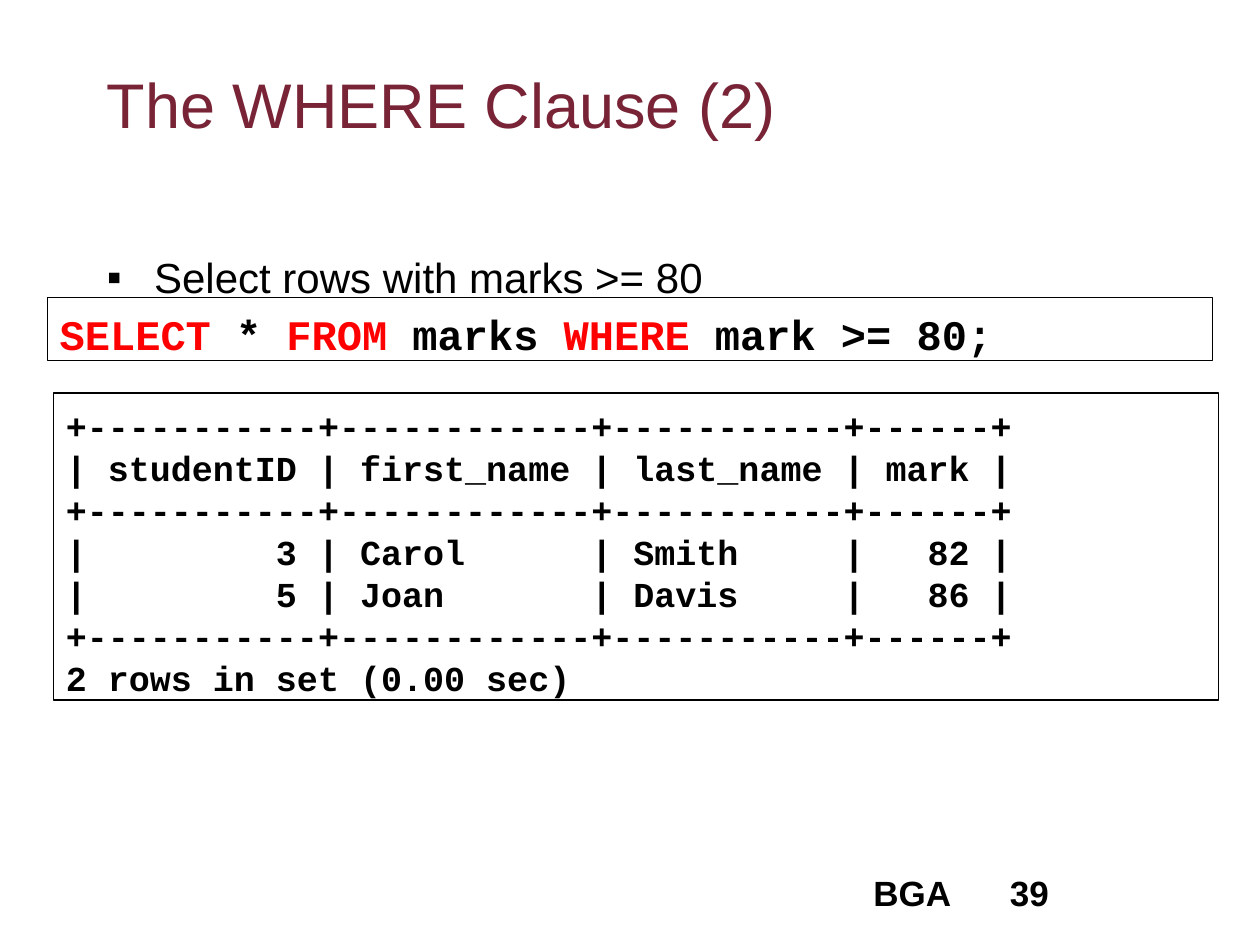
from lxml import etree
from pptx import Presentation
from pptx import util as u
from pptx.dml.color import RGBColor
from pptx.enum import shapes, text
from pptx.oxml.ns import qn

THEME = {
    "sans": "Arial",
    "mono": "Courier New",
    "title": RGBColor.from_string("782336"),
    "ink": RGBColor.from_string("000000"),
    "keyword": RGBColor.from_string("FF0000"),
    "title_size": 36,
    "body_size": 24,
    "small_size": 20,
}

TITLE = "The WHERE Clause (2)"
BULLET = "Select rows with marks >= 80"
QUERY = "SELECT * FROM marks WHERE mark >= 80;"
KEYWORDS = ("SELECT", "FROM", "WHERE")
RULE = "+-----------+------------+-----------+------+"
RESULT = [
    RULE,
    "| studentID | first_name | last_name | mark |",
    RULE,
    "|         3 | Carol      | Smith     |   82 |",
    "|         5 | Joan       | Davis     |   86 |",
    RULE,
    "2 rows in set (0.00 sec)",
]
FOOTER = [("BGA", 492, 228), ("39", 570, 150)]


def split_keywords(line):
    parts = [""]
    for word in line.split(" "):
        if word in KEYWORDS:
            parts += [word, " "]
        else:
            parts[-1] += word + " "
    parts[-1] = parts[-1].rstrip()
    return [part for part in parts if part]


def join_query(line):
    parts = split_keywords(line)
    return [
        (" " + part if i and parts[i - 1] in KEYWORDS and not part.startswith(" ") else part)
        for i, part in enumerate(parts)
    ]


def add_bullet(para, char, indent):
    props = para._p.get_or_add_pPr()
    props.set("marL", str(u.Pt(indent)))
    props.set("indent", str(-u.Pt(indent)))
    color = etree.SubElement(props, qn("a:buClr"))
    etree.SubElement(color, qn("a:srgbClr"), val=str(THEME["ink"]))
    etree.SubElement(props, qn("a:buFont"), typeface=THEME["sans"])
    etree.SubElement(props, qn("a:buChar"), char=char)


def write(page, lines, at, size, font="sans", color="ink", bold=False,
          inset=5.8, pitch=None, bullet=None, framed=False):
    place = [u.Pt(value) for value in at]
    if framed:
        box = page.shapes.add_shape(shapes.MSO_SHAPE.RECTANGLE, *place)
        box.shadow.inherit = False
        box.fill.background()
        box.line.color.rgb = THEME["ink"]
        box.line.width = u.Pt(0.75)
    else:
        box = page.shapes.add_textbox(*place)
    frame = box.text_frame
    frame.word_wrap = True
    frame.vertical_anchor = text.MSO_ANCHOR.TOP
    frame.margin_left = frame.margin_right = u.Pt(7.2)
    frame.margin_top, frame.margin_bottom = u.Pt(inset), u.Pt(0)
    para = frame.paragraphs[0]
    para.alignment = text.PP_ALIGN.LEFT
    if pitch:
        para.line_spacing = u.Pt(pitch)
    if bullet:
        add_bullet(para, bullet, 27)
    for i, line in enumerate(lines):
        if i:
            para.add_line_break()
        for part in join_query(line):
            span = para.add_run()
            span.text = part
            span.font.name = THEME[font]
            span.font.size = u.Pt(THEME[size])
            span.font.bold = bold
            is_keyword = font == "mono" and part in KEYWORDS
            span.font.color.rgb = THEME["keyword" if is_keyword else color]
    return box


def main():
    deck = Presentation()
    deck.slide_width, deck.slide_height = u.Pt(720), u.Pt(540)
    page = deck.slides.add_slide(deck.slide_layouts[6])

    write(page, [TITLE], (54, 30, 612, 90), "title_size", color="title", inset=7.2)
    write(page, [BULLET], (54, 138, 612, 324), "body_size", bullet="▪")
    for label, left, width in FOOTER:
        write(page, [label], (left, 492, width, 36), "small_size", bold=True)
    code = {"font": "mono", "bold": True, "framed": True, "inset": 6.5}
    write(page, [QUERY], (27, 170, 666, 36), "body_size", pitch=28.8, **code)
    write(page, RESULT, (30.5, 224.5, 666, 175.5), "small_size", pitch=24, **code)

    deck.save("out.pptx")


if __name__ == "__main__":
    main()
